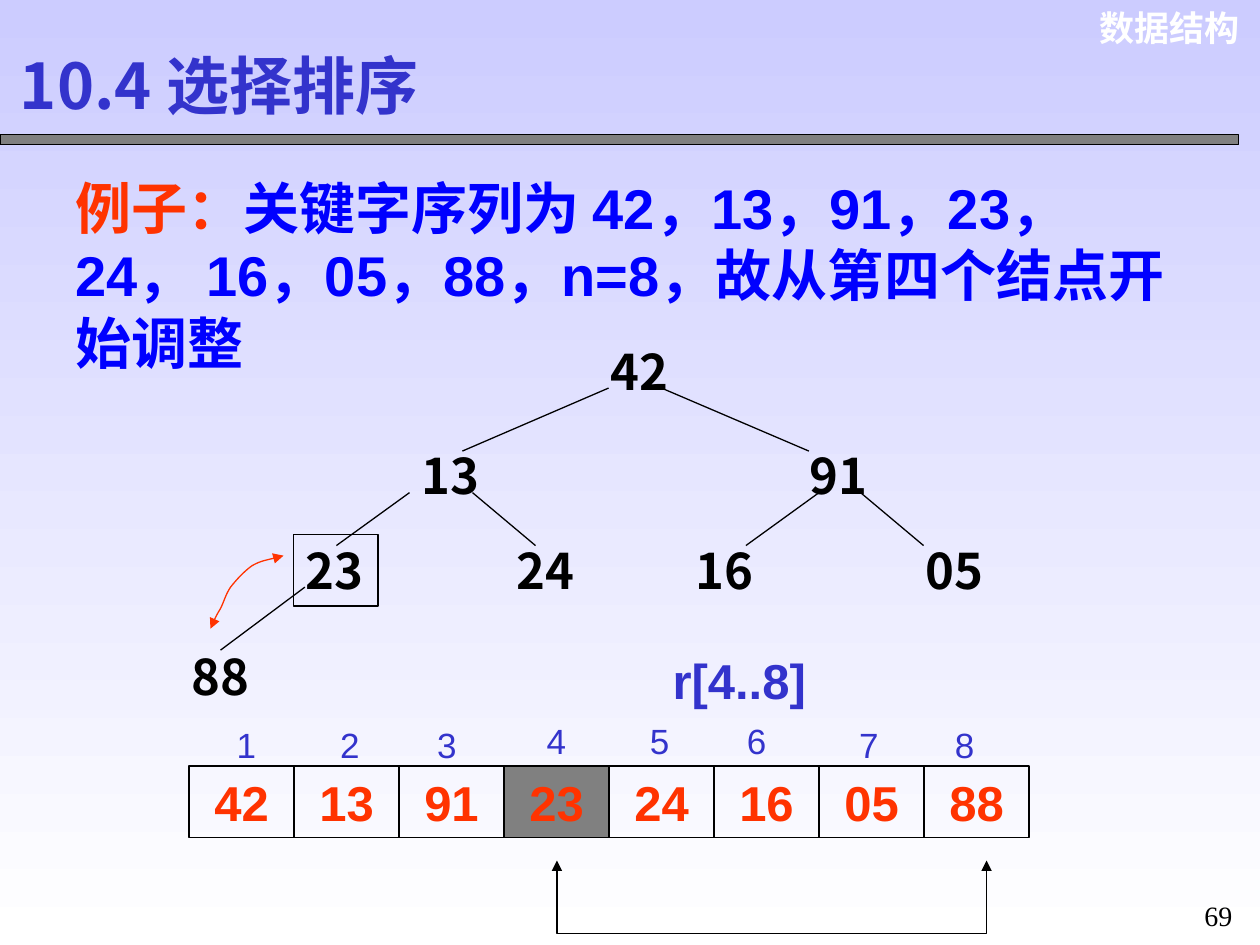
from lxml.etree import SubElement
from pptx import Presentation
from pptx.dml.color import RGBColor
from pptx.enum.shapes import MSO_CONNECTOR as Link, MSO_SHAPE as Form
from pptx.enum.text import MSO_ANCHOR as Anchor, PP_ALIGN as Align
from pptx.oxml.ns import qn
from pptx.util import Inches, Pt

BLACK = RGBColor(0x00, 0x00, 0x00)
WHITE = RGBColor(0xFF, 0xFF, 0xFF)
GREY = RGBColor(0x80, 0x80, 0x80)
RED = RGBColor(0xFF, 0x33, 0x00)
BLUE = RGBColor(0x00, 0x00, 0xFF)
INDIGO = RGBColor(0x33, 0x33, 0xCC)
LILAC = RGBColor(0xCC, 0xCC, 0xFF)
SANS = "Arial"
CJK = "Noto Sans CJK SC"
SERIF = "Times New Roman"


class Painter:
    def __init__(self, slide):
        self.slide = slide
        self.shapes = slide.shapes
        self.width = Pt(0.75)

    def backdrop(self, top, base):
        fill = self.slide.background.fill
        fill.gradient()
        fill.gradient_angle = 270
        for stop, color in zip(fill.gradient_stops, (top, base)):
            stop.color.rgb = color

    def label(self, shape, parts, size, font=SANS, bold=True,
              align=Align.LEFT, anchor=Anchor.TOP, wrap=True):
        frame = shape.text_frame
        frame.word_wrap = wrap
        frame.vertical_anchor = anchor
        para = frame.paragraphs[0]
        para.alignment = align
        para.font.name = font
        para.font.size = Pt(size)
        para.font.bold = bold
        if len(parts) == 1:
            para.font.color.rgb = parts[0][1]
        for text, color in parts:
            run = para.add_run()
            run.text = text
            if len(parts) > 1:
                run.font.color.rgb = color
        return para

    def text(self, area, parts, size, **style):
        box = self.shapes.add_textbox(*map(Inches, area))
        return self.label(box, parts, size, **style)

    def outline(self, shape, color):
        shape.shadow.inherit = False
        shape.line.color.rgb = color
        shape.line.width = self.width

    def rect(self, area, fill=None):
        shape = self.shapes.add_shape(Form.RECTANGLE, *map(Inches, area))
        if fill is None:
            shape.fill.background()
        else:
            shape.fill.solid()
            shape.fill.fore_color.rgb = fill
        self.outline(shape, BLACK)
        return shape

    def edge(self, x1, y1, x2, y2):
        line = self.shapes.add_connector(
            Link.STRAIGHT, *map(Inches, (x1, y1, x2, y2)))
        line.line.color.rgb = BLACK
        line.line.width = self.width
        SubElement(line.element.spPr, qn("a:effectLst"))

    def arrow(self, points, color, curved=False):
        start, *rest = [(Inches(x), Inches(y)) for x, y in points]
        maker = self.shapes.build_freeform(*start)
        maker.add_line_segments(rest, close=False)
        shape = maker.convert_to_shape()
        shape.fill.background()
        self.outline(shape, color)
        stroke = shape.element.spPr.find(qn("a:ln"))
        for end in ("a:headEnd", "a:tailEnd"):
            SubElement(stroke, qn(end), type="triangle")
        if curved:
            self.bend(shape)

    def bend(self, shape):
        steps = list(shape.element.iter(qn("a:lnTo")))
        for i in range(0, len(steps), 3):
            trio = steps[i:i + 3]
            curve = SubElement(trio[0].getparent(), qn("a:cubicBezTo"))
            for step in trio:
                curve.append(step[0])
                step.getparent().remove(step)


def main():
    deck = Presentation()
    deck.slide_width, deck.slide_height = Inches(10), Inches(7.5)
    art = Painter(deck.slides.add_slide(deck.slide_layouts[6]))

    art.backdrop(LILAC, WHITE)
    art.text((8.57, 0, 1.37, 0.44), [("数据结构", WHITE)], 20,
             align=Align.RIGHT)
    art.rect((0, 1.07, 9.83, 0.08), GREY)
    art.text((0.06, 0.29, 3.72, 0.75), [("10.4 选择排序", INDIGO)], 36,
             font=CJK, anchor=Anchor.MIDDLE)
    art.text((0.5, 1.33, 9.08, 1.7),
             [("例子：", RED),
              ("关键字序列为 42，13，91，23， 24， 16，05，88，"
               "n=8，故从第四个结点开始调整", BLUE)], 32)

    keys = ["42", "13", "91", "23", "24", "16", "05", "88"]
    spots = [(4.75, 2.66), (3.25, 3.49), (6.33, 3.49), (2.33, 4.24),
             (4, 4.24), (5.42, 4.24), (7.25, 4.24), (1.42, 5.08)]
    active = 3
    for i, (key, (x, y)) in enumerate(zip(keys, spots)):
        area = (x, y, 0.67, 0.57)
        if i == active:
            art.label(art.rect(area), [(key, BLACK)], 28, font=CJK)
        else:
            art.text(area, [(key, BLACK)], 28, font=CJK)

    for ends in [(4.83, 3.08, 3.67, 3.58), (5.25, 3.08, 6.42, 3.58),
                 (3.25, 3.91, 2.67, 4.33), (3.75, 3.91, 4.25, 4.33),
                 (6.5, 3.91, 5.92, 4.33), (6.83, 3.91, 7.33, 4.33),
                 (2.42, 4.66, 1.75, 5.16)]:
        art.edge(*ends)

    pitch = 5 / 6
    marks = [1.78, 2.6, 3.37, 4.24, 5.06, 5.83, 6.72, 7.48]
    for i, (key, x) in enumerate(zip(keys, marks)):
        cell = art.rect((1.5 + i * pitch, 6.08, pitch, 0.57),
                        GREY if i == active else None)
        art.label(cell, [(key, RED)], 28, align=Align.CENTER)
        y = 5.66 if 3 <= i <= 5 else 5.69
        art.text((x, y, 0.35, 0.44), [(str(i + 1), INDIGO)], 20,
                 bold=False, wrap=False)

    art.text((5.24, 5.11, 2.84, 0.57), [("r[4..8]", INDIGO)], 28)
    art.arrow([(4.42, 6.83), (4.42, 7.41), (7.83, 7.41), (7.83, 6.83)], BLACK)
    art.arrow([(1.67, 4.99), (1.69, 4.94), (1.72, 4.88), (1.75, 4.83),
               (1.78, 4.77), (1.79, 4.72), (1.83, 4.66), (1.87, 4.61),
               (1.93, 4.54), (2, 4.49), (2.07, 4.45), (2.19, 4.43),
               (2.25, 4.41)], RED, curved=True)
    page = art.text((9.42, 7, 0.5, 0.45), [("69", BLACK)], 16, font=SERIF,
                    bold=False, align=Align.CENTER)
    page.line_spacing = 1.3

    deck.save("out.pptx")


if __name__ == "__main__":
    main()
